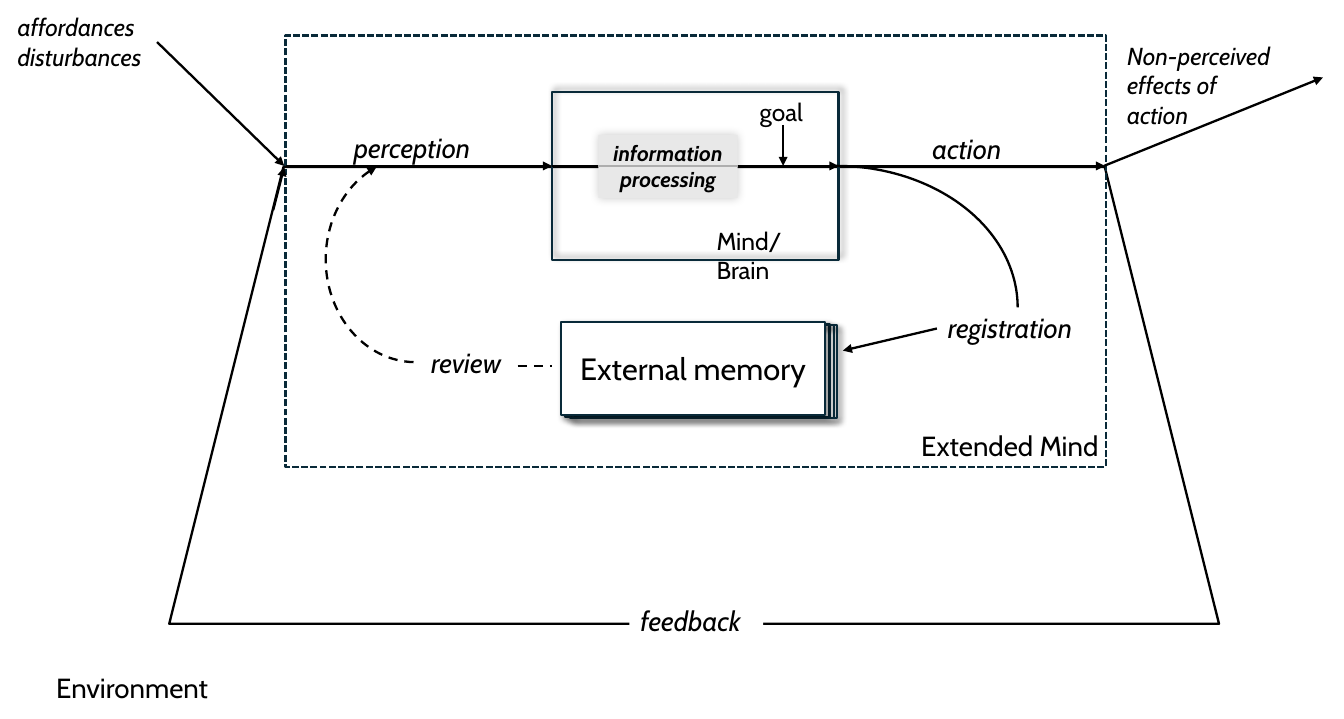
from pptx import Presentation, util as u
from pptx.dml import color
from pptx.enum import dml, shapes, text
from pptx.oxml import ns
from lxml import etree

COLORS = {
    "ink": "000000",
    "navy": "092A39",
    "grey": "AEAEAE",
    "pale": "E8E8E8",
    "white": "FFFFFF",
}
FONT = "Cabin"
AXIS = 1.5
KIND = shapes.MSO_SHAPE
DASH = dml.MSO_LINE
CENTER = text.PP_ALIGN.CENTER


def rgb(name):
    return color.RGBColor.from_string(COLORS[name])


def set_attrs(target, values):
    for name, value in values.items():
        setattr(target, name, value)


def add_child(parent, tag, **attrs):
    return etree.SubElement(parent, ns.qn(tag), attrs)


def style_line(s, line, dash=None, arrow=None):
    s.line.color.rgb = rgb(line)
    set_attrs(s.line, {"width": u.Pt(1.5), "dash_style": dash})
    if arrow:
        add_child(s.element.spPr.find(ns.qn("a:ln")), arrow, type="triangle")


def add_line(slide, x1, y1, x2, y2, arrow="a:tailEnd", line="ink", dash=None):
    ends = [u.Inches(v) for v in (x1, y1, x2, y2)]
    s = slide.shapes.add_connector(shapes.MSO_CONNECTOR.STRAIGHT, *ends)
    style_line(s, line, dash, arrow)
    add_child(s.element.spPr, "a:effectLst")
    return s


def add_shadow(s, alpha, blur, dist, angle):
    effects = s.element.spPr.find(ns.qn("a:effectLst"))
    shadow = add_child(effects, "a:outerShdw", blurRad=str(u.Pt(blur)),
                       dist=str(u.Pt(dist)), dir=str(angle * 60000),
                       algn="ctr", rotWithShape="0")
    tint = add_child(shadow, "a:srgbClr", val=COLORS["ink"])
    add_child(tint, "a:alpha", val=str(alpha * 1000))


def add_figure(slide, kind, box, fill=None, line=None, dash=None, arrow=None,
               shadow=None):
    s = slide.shapes.add_shape(kind, *[u.Inches(v) for v in box])
    s.shadow.inherit = False
    if fill:
        s.fill.solid()
        s.fill.fore_color.rgb = rgb(fill)
    else:
        s.fill.background()
    if line:
        style_line(s, line, dash, arrow)
    else:
        s.line.fill.background()
    if shadow:
        add_shadow(s, *shadow)
    return s


def write(s, words, size, italic=False, bold=False,
          align=text.PP_ALIGN.LEFT, anchor=text.MSO_ANCHOR.TOP,
          fit=text.MSO_AUTO_SIZE.SHAPE_TO_FIT_TEXT):
    tf = s.text_frame
    set_attrs(tf, {"word_wrap": True, "auto_size": fit,
                   "vertical_anchor": anchor})
    p = tf.paragraphs[0]
    set_attrs(p, {"text": words, "alignment": align})
    for r in p.runs:
        set_attrs(r.font, {"name": FONT, "size": u.Pt(size),
                           "italic": italic, "bold": bold})
        r.font.color.rgb = rgb("ink")


def add_label(slide, words, box, size=18, italic=True):
    s = slide.shapes.add_textbox(*[u.Inches(v) for v in box])
    write(s, words, size, italic)


def add_plate(slide, words, box, italic):
    write(add_figure(slide, KIND.RECTANGLE, box, "white"), words, 18, italic)


def add_frames(slide):
    add_figure(slide, KIND.TRAPEZOID, (1.53, 1.51, 9.49, 4.13), line="ink")
    add_figure(slide, KIND.RECTANGLE, (2.58, 0.32, 7.42, 3.9), line="navy",
               dash=DASH.SQUARE_DOT)
    add_figure(slide, KIND.RECTANGLE, (4.99, 0.83, 2.59, 1.52), line="navy",
               shadow=(40, 4, 3, 315))


def add_flow(slide):
    for ends in (
        (2.59, AXIS, 4.99, AXIS),
        (7.59, AXIS, 9.99, AXIS),
        (9.98, AXIS, 11.96, 0.7),
        (1.42, 0.38, 2.57, AXIS),
        (6.67, AXIS, 7.58, AXIS),
    ):
        add_line(slide, *ends)
    processing = add_figure(slide, KIND.RECTANGLE, (5.41, 1.22, 1.26, 0.57),
                            "pale", shadow=(20, 6, 0, 225))
    write(processing, "information processing", 14, True, True, CENTER)
    add_line(slide, 4.99, AXIS, 5.41, AXIS, None)
    add_line(slide, 5.41, AXIS, 6.67, AXIS, None, "grey")
    add_line(slide, 7.08, 1.13, 7.08, AXIS)


def add_memory(slide):
    for x, y in ((5.11, 2.93), (5.15, 2.94), (5.18, 2.94), (5.07, 2.91)):
        front = x == 5.07
        card = add_figure(slide, KIND.RECTANGLE, (x, y, 2.39, 0.84),
                          "white" if front else None, "navy",
                          shadow=(40, 4, 3, 45))
    write(card, "External memory", 20, align=CENTER,
          anchor=text.MSO_ANCHOR.MIDDLE, fit=text.MSO_AUTO_SIZE.NONE)


def add_loops(slide):
    add_figure(slide, KIND.ARC, (5.92, AXIS, 3.28, 2.56), line="ink")
    add_line(slide, 8.47, 2.97, 7.62, 3.17)
    review = add_figure(slide, KIND.ARC, (2.83, 1.53, 1.86, 1.63), line="ink",
                        dash=DASH.DASH, arrow="a:headEnd")
    review.adjustments[0] = 121.79
    review.rotation = 90
    review.element.spPr.find(ns.qn("a:xfrm")).set("flipV", "1")
    add_line(slide, 4.68, 3.31, 4.99, 3.31, None, dash=DASH.DASH)
    add_line(slide, 2.47, 1.9, 2.57, 1.51)


def add_labels(slide):
    for words, box, size, italic in (
        ("goal", (6.77, 0.83, 0.63, 0.37), 16, False),
        ("Mind/Brain", (6.38, 1.99, 1.26, 0.37), 16, False),
        ("perception", (3.1, 1.13, 1.39, 0.4), 18, True),
        ("action", (8.33, 1.14, 0.91, 0.4), 18, True),
        ("Non-perceived effects of \naction", (10.09, 0.32, 1.98, 0.91), 16, True),
        ("registration", (8.47, 2.76, 1.43, 0.4), 18, True),
        ("review", (3.8, 3.08, 0.94, 0.4), 18, True),
        ("affordances disturbances", (0.06, 0.06, 1.98, 0.64), 16, True),
        ("Extended Mind", (8.23, 3.83, 1.94, 0.4), 18, False),
    ):
        add_label(slide, words, box, size, italic)
    add_plate(slide, "feedback", (5.69, 5.41, 1.21, 0.4), True)
    add_plate(slide, "Environment", (0.41, 6.02, 1.79, 0.4), False)


def main():
    prs = Presentation()
    set_attrs(prs, {"slide_width": u.Inches(12.15),
                    "slide_height": u.Inches(6.5)})
    slide = prs.slides.add_slide(prs.slide_layouts[6])
    for add_part in (add_frames, add_flow, add_memory, add_loops, add_labels):
        add_part(slide)
    prs.save("out.pptx")


if __name__ == "__main__":
    main()
